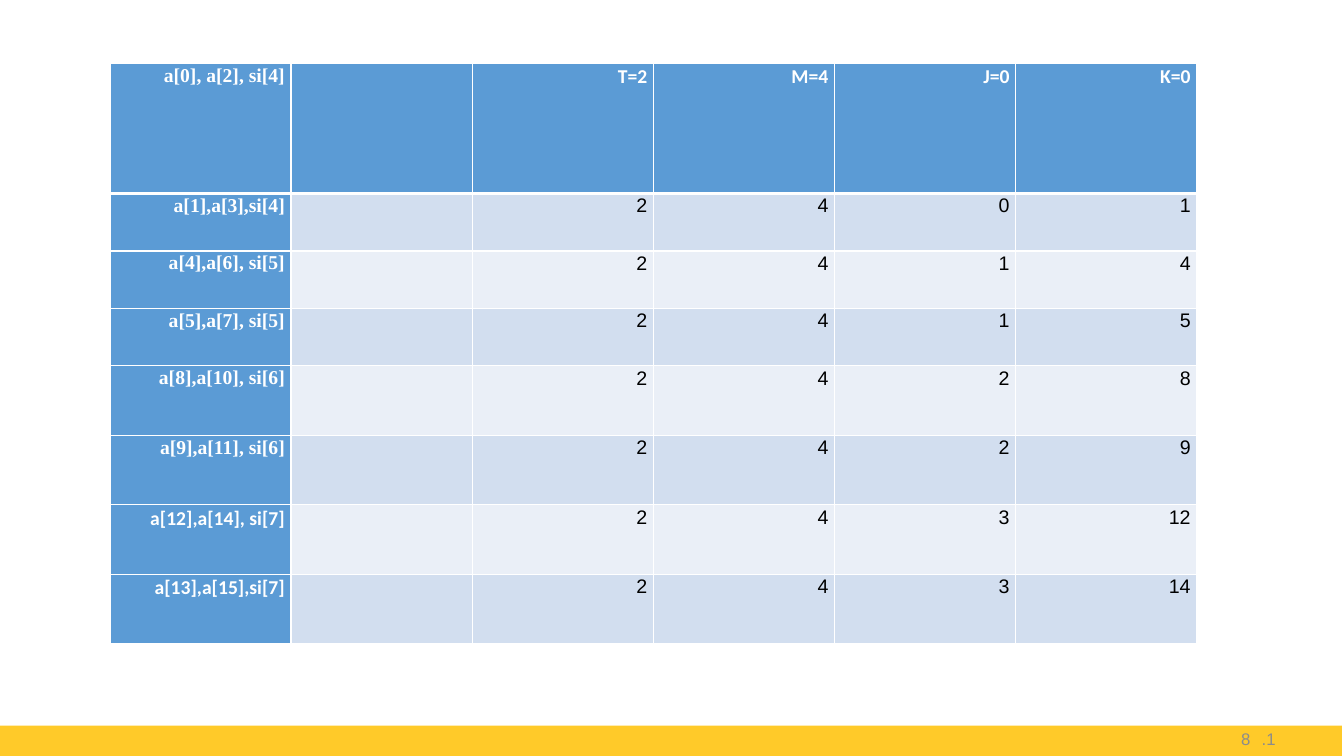
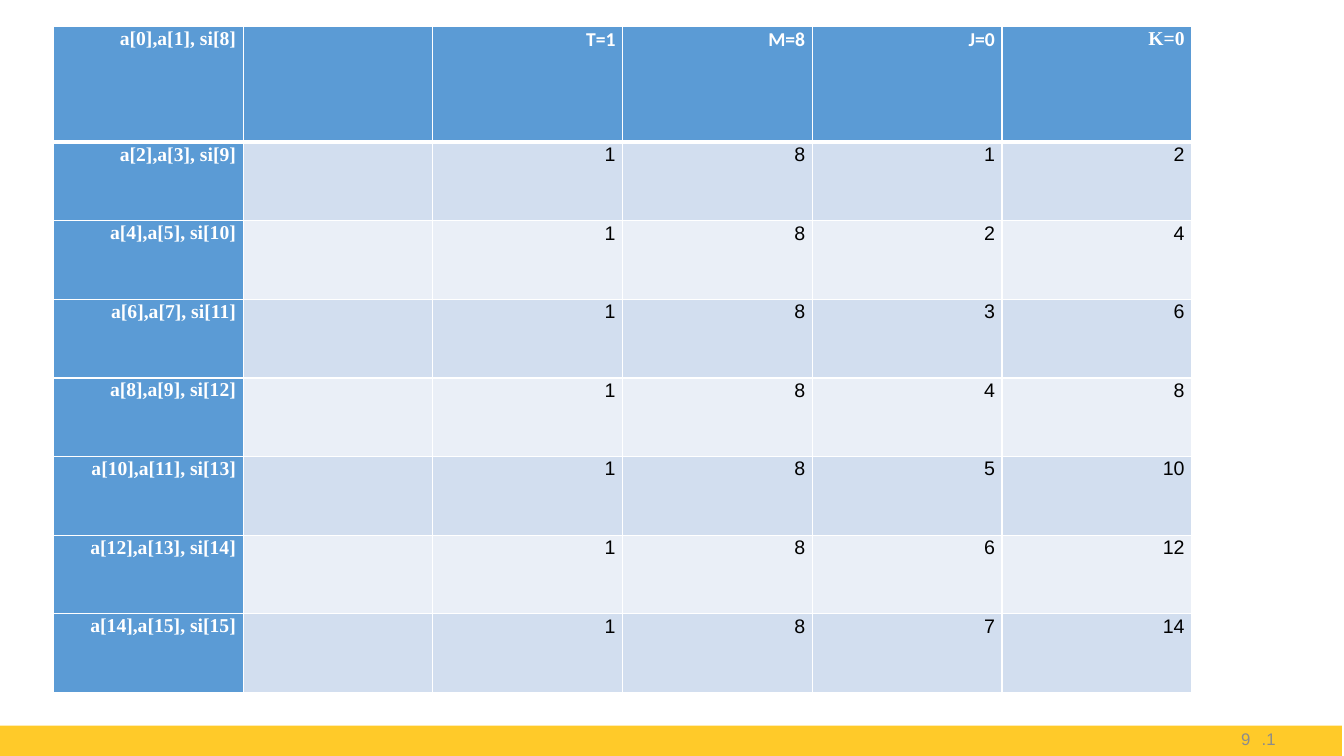
from lxml import etree
from pptx import Presentation
from pptx.dml.color import RGBColor
from pptx.enum import shapes, text
from pptx.oxml.ns import qn
from pptx.util import Inches, Pt

COLORS = {"band": "FFCA29", "number": "8C8C8C", "head": "5B9BD5", "odd": "D2DEEF",
          "even": "EAEFF7", "white": "FFFFFF", "black": "000000"}
FONTS = {"T": "Times New Roman", "C": "Calibri"}


def write(frame, content, font="T", size=14, color="black", bold=False, spacing=None):
    paragraph = frame.paragraphs[0]
    paragraph.alignment = text.PP_ALIGN.RIGHT
    paragraph.line_spacing = spacing
    properties = paragraph._p.get_or_add_pPr()
    properties.set("rtl", "1")
    run = paragraph.add_run()
    run.text = content
    run.font.name = FONTS[font]
    run.font.size = Pt(size)
    run.font.bold = bold
    run.font.color.rgb = RGBColor.from_string(COLORS[color])
    etree.SubElement(run.font._element, qn("a:cs"), typeface="Arial")
    return properties


def add_border(cell, side, points):
    line = etree.SubElement(cell._tc.get_or_add_tcPr(), qn("a:" + side), w=str(Pt(points)))
    fill = etree.SubElement(line, qn("a:solidFill"))
    etree.SubElement(fill, qn("a:srgbClr"), val=COLORS["white"])


stages = [
    {"number": "8", "at": (1.09, 0.63), "width": 10.78, "inset": 0.06,
     "heights": [1.29] + [0.57] * 3 + [0.69] * 4,
     "rows": [
         ("TCCCC", "a[0], a[2], si[4]", "T=2", "M=4", "J=0", "K=0"),
         ("TTCTT", "a[1],a[3],si[4]", "2", "4", "0", "1"),
         ("TTCTT", "a[4],a[6], si[5]", "2", "4", "1", "4"),
         ("TTCTT", "a[5],a[7], si[5]", "2", "4", "1", "5"),
         ("TTCTT", "a[8],a[10], si[6]", "2", "4", "2", "8"),
         ("TTCTT", "a[9],a[11], si[6]", "2", "4", "2", "9"),
         ("CCCCC", "a[12],a[14], si[7]", "2", "4", "3", "12"),
         ("CCCCC", "a[13],a[15],si[7]", "2", "4", "3", "14"),
     ]},
    {"number": "9", "at": (0.53, 0.26), "width": 11.29, "inset": 0.07,
     "heights": [1.13] + [0.775] * 7,
     "rows": [
         ("TCCCT", "a[0],a[1], si[8]", "T=1", "M=8", "J=0", "K=0"),
         ("TTCTT", "a[2],a[3], si[9]", "1", "8", "1", "2"),
         ("TTCTT", "a[4],a[5], si[10]", "1", "8", "2", "4"),
         ("TTCTC", "a[6],a[7], si[11]", "1", "8", "3", "6"),
         ("TCCCC", "a[8],a[9], si[12]", "1", "8", "4", "8"),
         ("TCCCC", "a[10],a[11], si[13]", "1", "8", "5", "10"),
         ("TCCCC", "a[12],a[13], si[14]", "1", "8", "6", "12"),
         ("TCCCC", "a[14],a[15], si[15]", "1", "8", "7", "14"),
     ]},
]
stages[1]["heights"] = [1.15] + [0.78] * 7

prs = Presentation()
prs.slide_width, prs.slide_height = Inches(13.33), Inches(7.5)
blank = prs.slide_layouts[6]
slides = [prs.slides.add_slide(blank) for stage in stages]

band = slides[0].shapes.add_shape(shapes.MSO_SHAPE.RECTANGLE, 0, Inches(7.2), Inches(13.31), Inches(0.3))
band.shadow.inherit = False
band.fill.solid()
band.fill.fore_color.rgb = RGBColor.from_string(COLORS["band"])
band.line.fill.background()
band.element.nvSpPr.cNvPr.set("id", "20")
prs.slide_master.shapes.element.append(band.element)

for slide, stage in zip(slides, stages):
    page = slide.shapes.add_textbox(Inches(9.75), Inches(7.13), Inches(3), Inches(0.4)).text_frame
    page.word_wrap = True
    page.vertical_anchor = text.MSO_ANCHOR.MIDDLE
    numbering = write(page, stage["number"], size=12, color="number")
    numbering.set("marL", str(Inches(0.25)))
    numbering.set("indent", str(-Inches(0.25)))
    etree.SubElement(numbering, qn("a:buFont"), typeface="Arial")
    etree.SubElement(numbering, qn("a:buAutoNum"), type="arabicPeriod")

    left, top = stage["at"]
    steps = slide.shapes.add_table(8, 6, Inches(left), Inches(top), Inches(stage["width"]),
                                   Inches(sum(stage["heights"]))).table
    steps.first_col = True
    for column in steps.columns:
        column.width = Inches(stage["width"] / 6)
    for r, (fonts, label, *values) in enumerate(stage["rows"]):
        steps.rows[r].height = Inches(stage["heights"][r])
        for c, content in enumerate([label, "", *values]):
            cell = steps.cell(r, c)
            heading = r == 0 or c == 0
            for side in ("lnL", "lnR", "lnT", "lnB"):
                add_border(cell, side, 3 if (r, side) in ((0, "lnB"), (1, "lnT")) else 1)
            cell.fill.solid()
            shade = "head" if heading else "odd" if r % 2 else "even"
            cell.fill.fore_color.rgb = RGBColor.from_string(COLORS[shade])
            cell.margin_left = cell.margin_right = Inches(stage["inset"])
            cell.margin_top = cell.margin_bottom = 0
            if content:
                write(cell.text_frame, content, font=fonts[max(c - 1, 0)], bold=heading,
                      color="white" if heading else "black", spacing=1.07)

prs.save("out.pptx")
